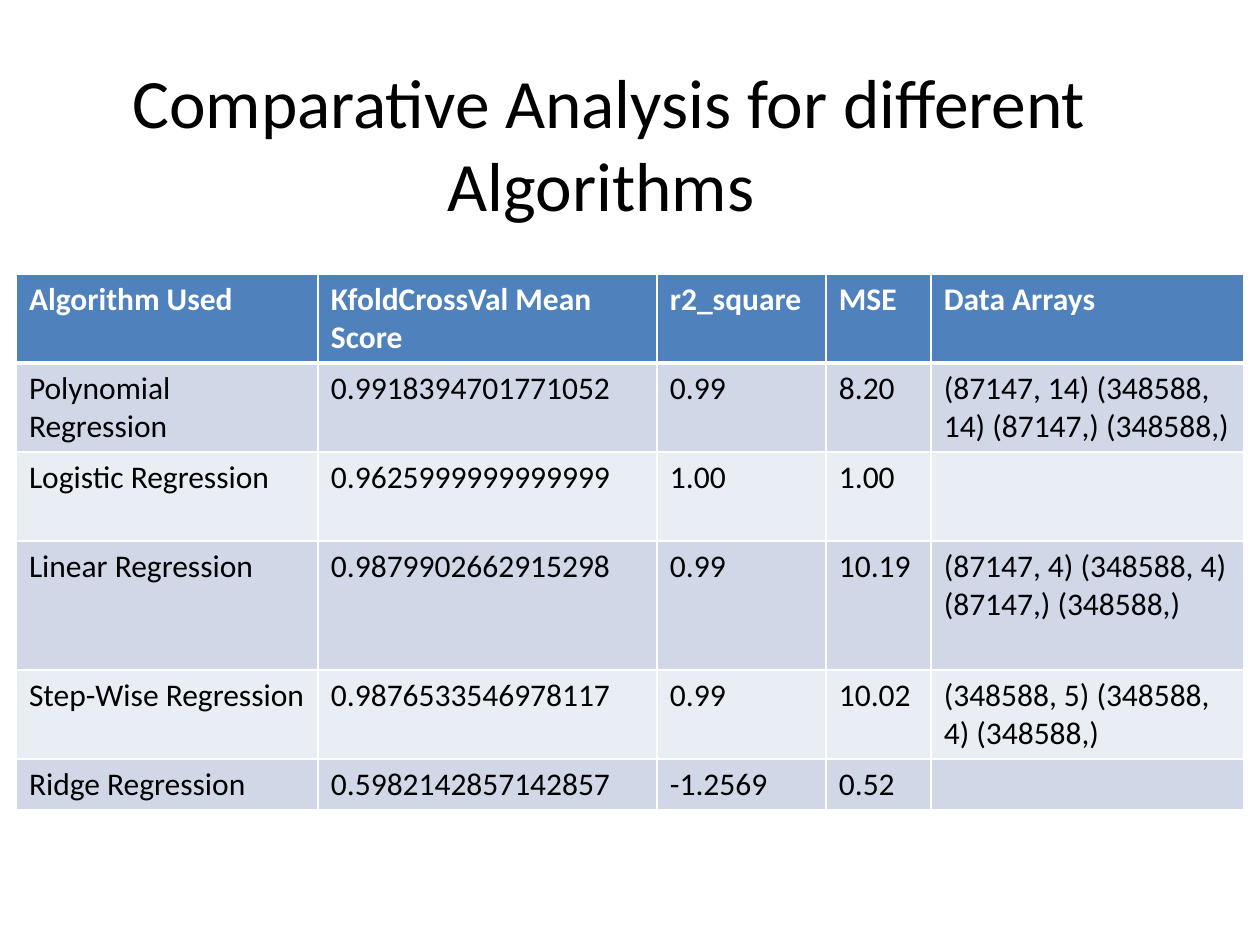
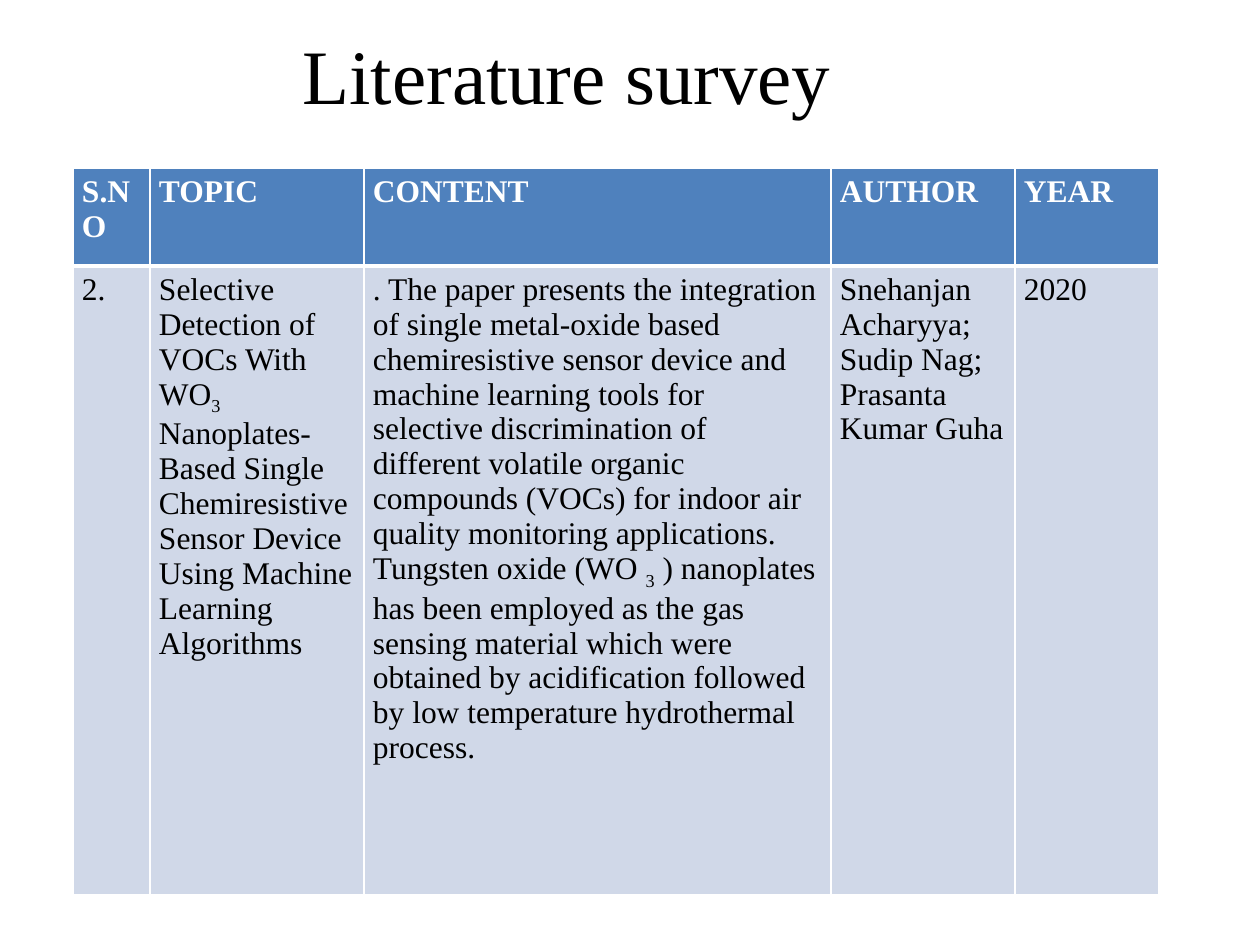
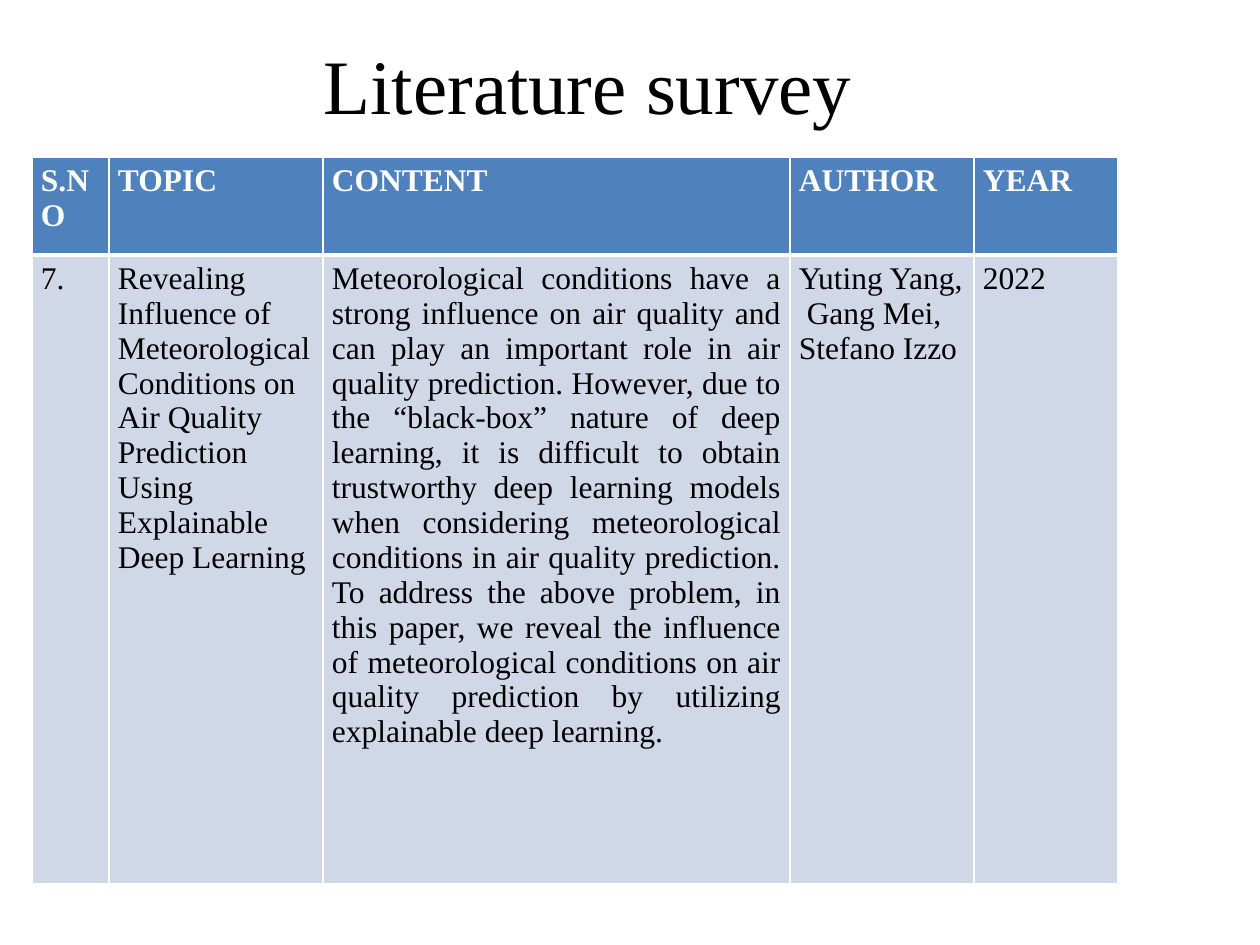
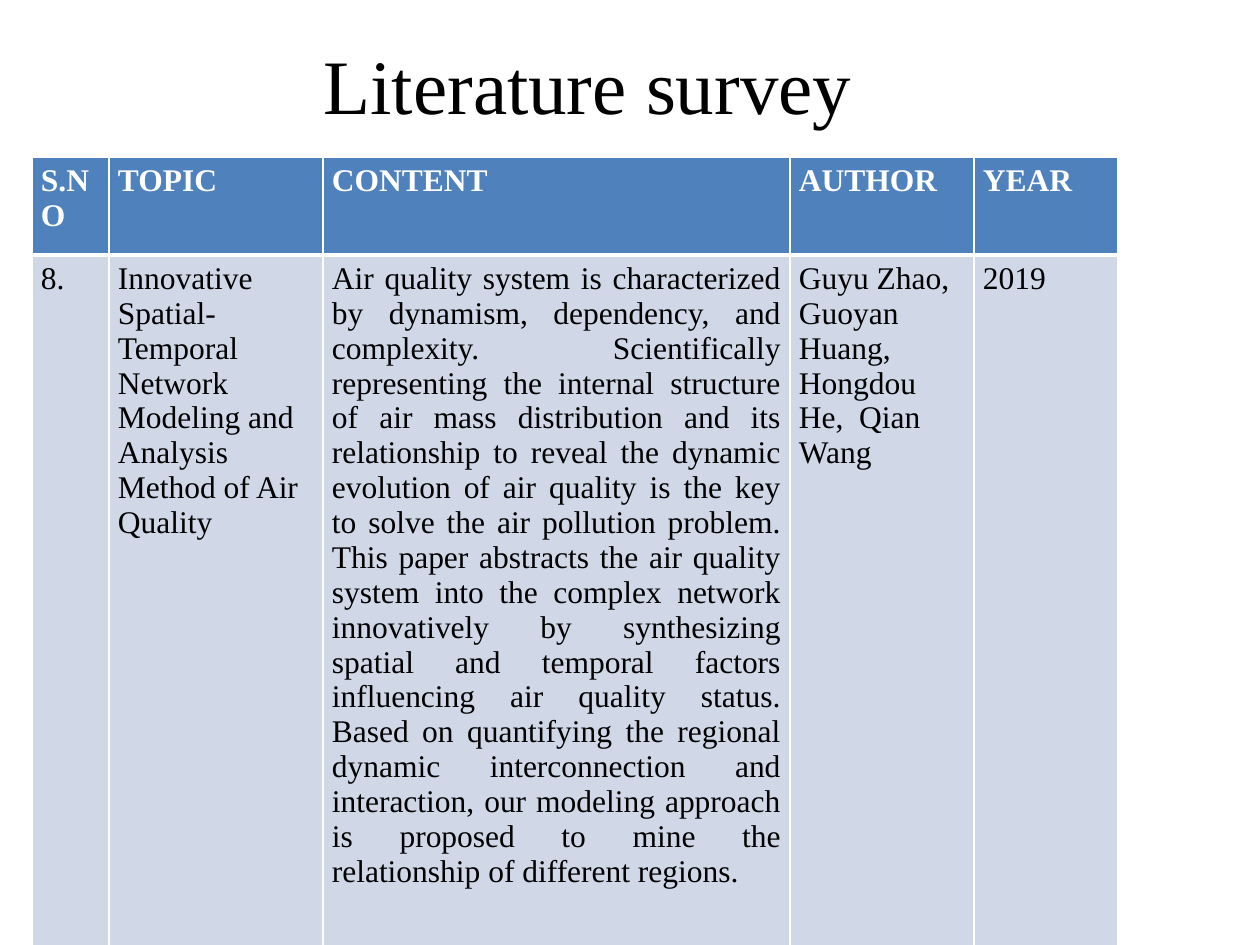
from lxml import etree
from pptx import Presentation
from pptx.dml.color import RGBColor
from pptx.enum.text import MSO_ANCHOR, PP_ALIGN
from pptx.oxml.ns import qn
from pptx.util import Emu, Pt

MIDDLE = MSO_ANCHOR.MIDDLE
LEFT, CENTER, JUSTIFY = PP_ALIGN.LEFT, PP_ALIGN.CENTER, PP_ALIGN.JUSTIFY

BLACK = RGBColor(0x00, 0x00, 0x00)
WHITE = RGBColor(0xFF, 0xFF, 0xFF)
HEADER_BLUE = RGBColor(0x4F, 0x81, 0xBD)
BAND_DARK = RGBColor(0xD0, 0xD8, 0xE8)
BAND_LIGHT = RGBColor(0xE9, 0xED, 0xF4)

SANS, SERIF = "Calibri", "Times New Roman"
EMU_PER_PX = 914400 / 126
TITLE_WIDTH, TITLE_HEIGHT = 1134, 158
THIN, THICK = Pt(1), Pt(3)
SUBSCRIPT_MARK = "~"

SURVEY_HEADER = ["S.NO", "TOPIC", "CONTENT", "AUTHOR", "YEAR"]
SURVEY_STYLE = {
    "title": "Literature survey",
    "font": SERIF,
    "title_size": 44,
    "side_margin": 9,
    "columns": [77, 214, 467, 184, 144],
    "heights": [98, 629],
}

SLIDES = [
    {
        "title": "Comparative Analysis for different Algorithms ",
        "font": SANS,
        "title_size": 39.6,
        "title_at": (42, 63),
        "table_at": (16, 274),
        "side_margin": 13,
        "columns": [302, 339, 169, 105, 313],
        "heights": [89, 89, 89, 129, 89, 51],
        "content_align": LEFT,
        "rows": [
            ["Algorithm Used", "KfoldCrossVal Mean Score", "r2_square", "MSE", "Data Arrays"],
            ["Polynomial Regression", "0.9918394701771052", "0.99", "8.20",
             "(87147, 14) (348588, 14) (87147,) (348588,)"],
            ["Logistic Regression", "0.9625999999999999", "1.00", "1.00", ""],
            ["Linear Regression", "0.9879902662915298", "0.99", "10.19",
             "(87147, 4) (348588, 4) (87147,) (348588,)"],
            ["Step-Wise Regression", "0.9876533546978117", "0.99", "10.02",
             "(348588, 5) (348588, 4) (348588,)"],
            ["Ridge Regression", "0.5982142857142857", "-1.2569", "0.52", ""],
        ],
    },
    {
        **SURVEY_STYLE,
        "title_at": (0, -5),
        "table_at": (73, 168),
        "content_align": LEFT,
        "rows": [
            SURVEY_HEADER,
            ["2.",
             "Selective Detection of VOCs With WO~3 ~Nanoplates-Based Single "
             "Chemiresistive Sensor Device Using Machine Learning Algorithms",
             ". The paper presents the integration of single metal-oxide based "
             "chemiresistive sensor device and machine learning tools for selective "
             "discrimination of different volatile organic compounds (VOCs) for indoor "
             "air quality monitoring applications. Tungsten oxide (WO ~3~ ) nanoplates "
             "has been employed as the gas sensing material which were obtained by "
             "acidification followed by low temperature hydrothermal process.",
             "Snehanjan Acharyya; Sudip Nag; Prasanta Kumar Guha",
             "2020"],
        ],
    },
    {
        **SURVEY_STYLE,
        "title_at": (21, 5),
        "table_at": (32, 157),
        "content_align": JUSTIFY,
        "rows": [
            SURVEY_HEADER,
            ["7.",
             "Revealing Influence of Meteorological Conditions on Air Quality "
             "Prediction Using Explainable Deep Learning",
             "Meteorological conditions have a strong influence on air quality and can "
             "play an important role in air quality prediction. However, due to the "
             "“black-box” nature of deep learning, it is difficult to obtain trustworthy "
             "deep learning models when considering meteorological conditions in air "
             "quality prediction. To address the above problem, in this paper, we reveal "
             "the influence of meteorological conditions on air quality prediction by "
             "utilizing explainable deep learning.",
             "Yuting Yang,  Gang Mei,  Stefano Izzo",
             "2022"],
        ],
    },
    {
        **SURVEY_STYLE,
        "title_at": (21, 5),
        "table_at": (32, 157),
        "content_align": JUSTIFY,
        "rows": [
            SURVEY_HEADER,
            ["8.",
             "Innovative Spatial-Temporal Network Modeling and Analysis Method of Air "
             "Quality",
             "Air quality system is characterized by dynamism, dependency, and "
             "complexity. Scientifically representing the internal structure of air mass "
             "distribution and its relationship to reveal the dynamic evolution of air "
             "quality is the key to solve the air pollution problem. This paper abstracts "
             "the air quality system into the complex network innovatively by "
             "synthesizing spatial and temporal factors influencing air quality status. "
             "Based on quantifying the regional dynamic interconnection and interaction, "
             "our modeling approach is proposed to mine the relationship of different "
             "regions.",
             "Guyu Zhao,  Guoyan Huang,  Hongdou He,  Qian Wang",
             "2019"],
        ],
    },
]


def px(length):
    return Emu(round(length * EMU_PER_PX))


def set_borders(cell, top, bottom):
    properties = cell._tc.get_or_add_tcPr()
    widths = {"a:lnL": THIN, "a:lnR": THIN, "a:lnT": top, "a:lnB": bottom}
    for position, (tag, width) in enumerate(widths.items()):
        line = etree.Element(qn(tag), w=str(width))
        fill = etree.SubElement(line, qn("a:solidFill"))
        etree.SubElement(fill, qn("a:srgbClr"), val=str(WHITE))
        properties.insert(position, line)


presentation = Presentation()
presentation.slide_width = px(1260)
presentation.slide_height = px(945)

for content in SLIDES:
    slide = presentation.slides.add_slide(presentation.slide_layouts[6])

    left, top = content["title_at"]
    title = slide.shapes.add_textbox(px(left), px(top), px(TITLE_WIDTH), px(TITLE_HEIGHT))
    title.text_frame.word_wrap = True
    title.text_frame.vertical_anchor = MIDDLE
    paragraph = title.text_frame.paragraphs[0]
    paragraph.text = content["title"]
    paragraph.alignment = CENTER
    paragraph.font.name = content["font"]
    paragraph.font.size = Pt(content["title_size"])
    paragraph.font.color.rgb = BLACK

    left, top = content["table_at"]
    columns, heights, rows = content["columns"], content["heights"], content["rows"]
    table = slide.shapes.add_table(
        len(rows), len(columns), px(left), px(top), px(sum(columns)), px(sum(heights))
    ).table
    for column, width in zip(table.columns, columns):
        column.width = px(width)
    for row, height in zip(table.rows, heights):
        row.height = px(height)

    for row_number, texts in enumerate(rows):
        is_header = row_number == 0
        band = BAND_DARK if row_number % 2 else BAND_LIGHT
        for column_number, text in enumerate(texts):
            cell = table.cell(row_number, column_number)
            cell.margin_left = cell.margin_right = px(content["side_margin"])
            cell.fill.solid()
            cell.fill.fore_color.rgb = HEADER_BLUE if is_header else band
            set_borders(cell, THICK if row_number == 1 else THIN, THICK if is_header else THIN)

            paragraph = cell.text_frame.paragraphs[0]
            paragraph.font.name = content["font"]
            paragraph.font.size = Pt(18)
            paragraph.font.bold = is_header
            paragraph.font.color.rgb = WHITE if is_header else BLACK
            if column_number == 2 and not is_header:
                paragraph.alignment = content["content_align"]
            if not text:
                continue
            for part_number, part in enumerate(text.split(SUBSCRIPT_MARK)):
                run = paragraph.add_run()
                run.text = part
                if part_number % 2:
                    run._r.get_or_add_rPr().set("baseline", "-25000")

presentation.save("out.pptx")
